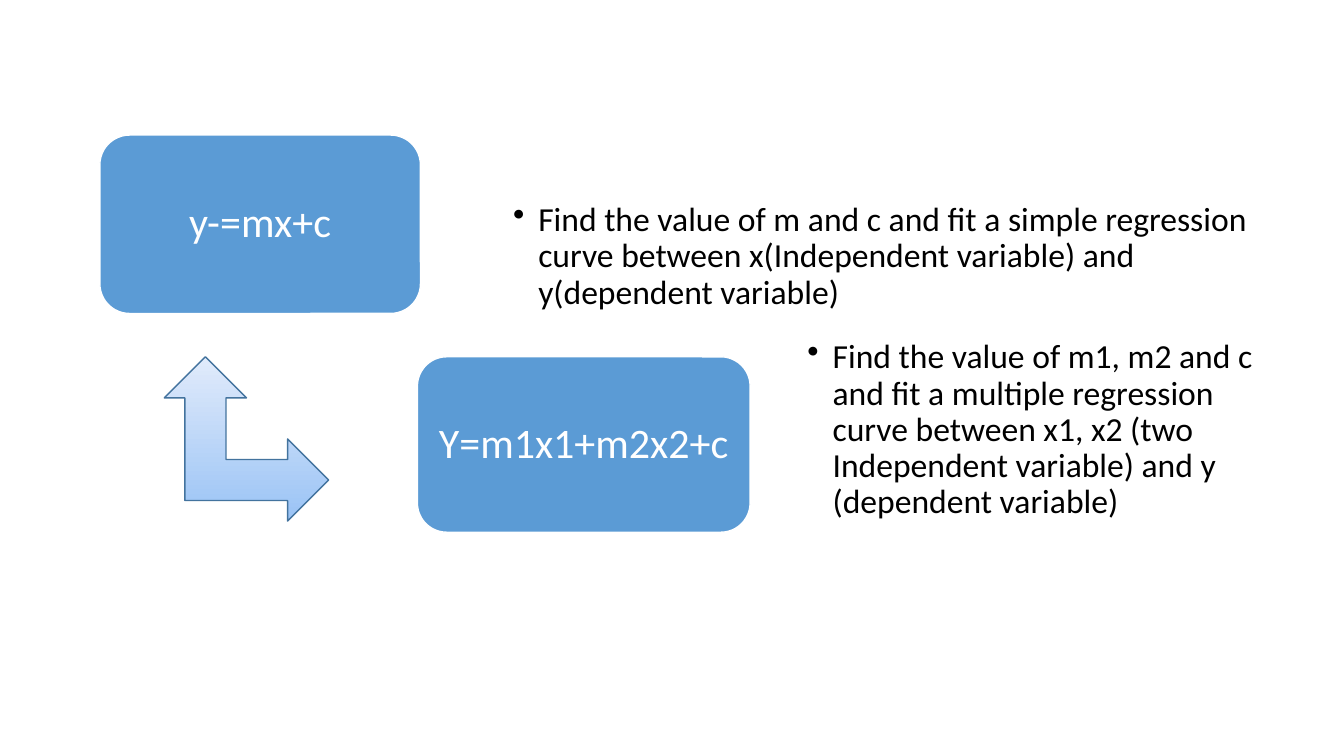
from lxml import etree
from pptx import Presentation
from pptx.dml.color import RGBColor
from pptx.enum import shapes, text
from pptx.oxml.ns import qn
from pptx.util import Inches, Pt

BLUE = RGBColor(0x5B, 0x9B, 0xD5)
ARROW_DARK = RGBColor(0x9A, 0xC3, 0xF5)
ARROW_LIGHT = RGBColor(0xE1, 0xEB, 0xFB)
ARROW_LINE = RGBColor(0x43, 0x73, 0x9E)
WHITE = RGBColor(0xFF, 0xFF, 0xFF)
BLACK = RGBColor(0, 0, 0)


def write(sp, words, size, color, align, bullet=False):
    tf = sp.text_frame
    tf.word_wrap = True
    tf.vertical_anchor = text.MSO_ANCHOR.MIDDLE
    tf.margin_left = tf.margin_right = Inches(0.1)
    tf.margin_top = tf.margin_bottom = Inches(0.1)
    p = tf.paragraphs[0]
    p.alignment = align
    p.line_spacing = 0.9
    r = p.add_run()
    r.text = words
    r.font.name = "Calibri"
    r.font.size = Pt(size)
    r.font.color.rgb = color
    if bullet:
        pPr = p._p.get_or_add_pPr()
        pPr.set("marL", str(Inches(0.25)))
        pPr.set("indent", str(Inches(-0.25)))
        etree.SubElement(pPr, qn("a:buChar")).set("char", "•")


prs = Presentation()
prs.slide_width, prs.slide_height = Inches(13.33), Inches(7.5)
s = prs.slides.add_slide(prs.slide_layouts[6])

# Each equation: box position, wording, then its explanation
equations = [
    ((0.99, 1.34, 3.18, 1.77), "y-=mx+c",
     (4.99, 2.08, 7.61, 0.94),
     "Find the value of m and c and fit a simple regression curve between "
     "x(Independent variable) and y(dependent variable)"),
    ((4.14, 3.54, 3.3, 1.74), "Y=m1x1+m2x2+c",
     (7.91, 3.16, 4.68, 2.22),
     "Find the value of m1, m2 and c and fit a multiple regression curve between "
     "x1, x2 (two Independent variable) and y (dependent variable)"),
]
for box_at, equation, note_at, note in equations:
    box = s.shapes.add_shape(shapes.MSO_SHAPE.ROUNDED_RECTANGLE, *map(Inches, box_at))
    box.shadow.inherit = False
    box.fill.solid()
    box.fill.fore_color.rgb = BLUE
    box.line.color.rgb = WHITE
    box.line.width = Pt(1)
    write(box, equation, 30, WHITE, text.PP_ALIGN.CENTER)
    write(s.shapes.add_textbox(*map(Inches, note_at)), note, 24, BLACK,
          text.PP_ALIGN.LEFT, bullet=True)

arrow = s.shapes.add_shape(shapes.MSO_SHAPE.LEFT_UP_ARROW, Inches(1.63), Inches(3.54),
                           Inches(1.63), Inches(1.63))
arrow.rotation = 90
arrow.shadow.inherit = False
arrow.fill.gradient()
arrow.fill.gradient_angle = 180
for stop, color in zip(arrow.fill.gradient_stops, (ARROW_DARK, ARROW_LIGHT)):
    stop.color.rgb = color
arrow.line.color.rgb = ARROW_LINE
arrow.line.width = Pt(1)

prs.save("out.pptx")
